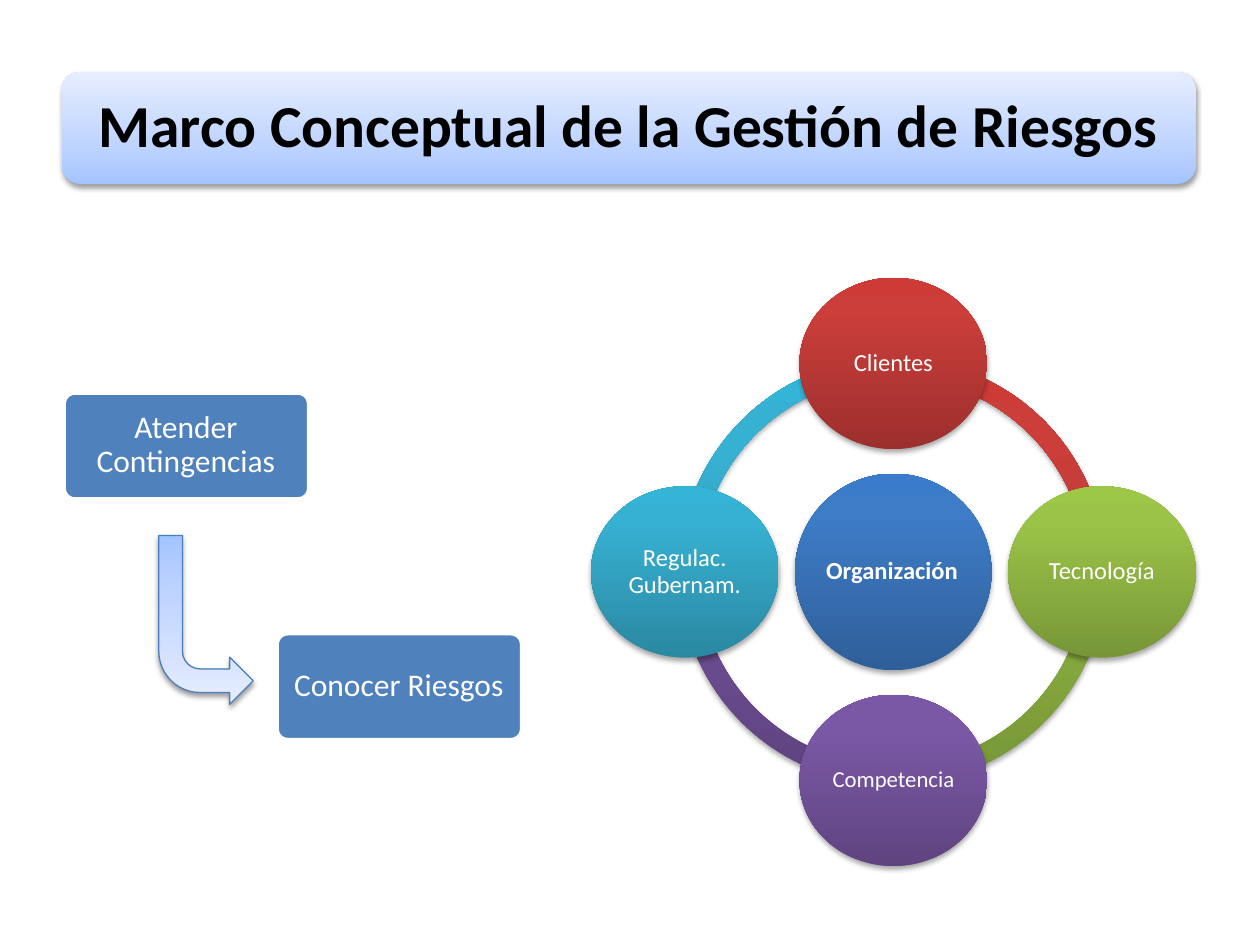
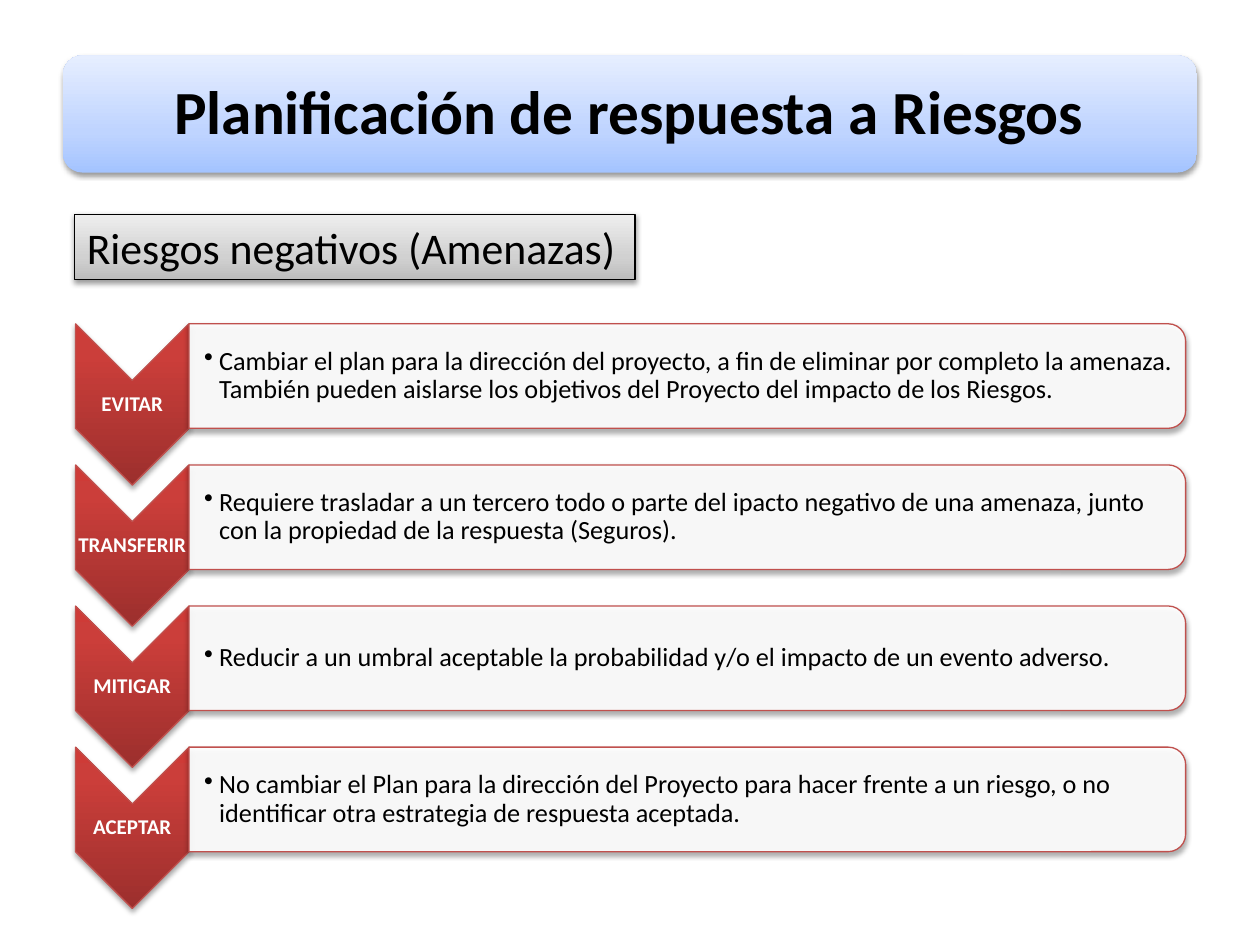
import math

import pptx
import pptx.dml.color
import pptx.enum.shapes
import pptx.enum.text
import pptx.oxml.ns
import pptx.util
from lxml import etree

Inches = pptx.util.Inches
qn = pptx.oxml.ns.qn
SHAPE = pptx.enum.shapes.MSO_SHAPE
ANCHOR = pptx.enum.text.MSO_ANCHOR
ALIGN = pptx.enum.text.PP_ALIGN
rgb = pptx.dml.color.RGBColor.from_string

FONT = "Calibri"
BLACK, WHITE, BLUE, RED_LINE = "000000", "FFFFFF", "4F81BD", "C0504D"
PALE_BLUE = [(0, "A4C4FF"), (35, "BFD4FF"), (100, "E6EEFF")]
GREY = [(0, "BDBDBD"), (35, "D1D1D1"), (100, "EEEEEE")]
RED = [(0, "9C2F2D"), (80, "CB3E3A"), (100, "CE3B37")]
GREEN = [(0, "779737"), (80, "9BC348"), (100, "9DC746")]
PURPLE = [(0, "5F4480"), (80, "7B58A6"), (100, "7C57A8")]
CYAN = [(0, "2A88A2"), (80, "37B1D2"), (100, "34B4D6")]
DEEP_BLUE = [(0, "2F5F99"), (80, "3D7CC7"), (100, "3A7CCB")]
SOFT_SHADOW = (38, 1.6)
DEEP_SHADOW = (35, 1.8)


def add_block(slide, kind, box, fill, line=None, width=0.75, shadow=None,
              adjustments=(), rotation=0, turns_fill=False):
    shape = slide.shapes.add_shape(kind, *map(Inches, box))
    shape.rotation = rotation
    for index, value in enumerate(adjustments):
        shape.adjustments[index] = value
    properties = shape._element.spPr
    if isinstance(fill, str):
        shape.fill.solid()
        shape.fill.fore_color.rgb = rgb(fill)
    else:
        shape.fill.gradient()
        shape.fill.gradient_angle = 90
        gradient = properties.find(qn("a:gradFill"))
        gradient.set("rotWithShape", str(int(turns_fill)))
        stops = gradient.find(qn("a:gsLst"))
        for stop in list(stops):
            stops.remove(stop)
        for position, color in fill:
            stop = etree.SubElement(stops, qn("a:gs"), pos=str(position * 1000))
            etree.SubElement(stop, qn("a:srgbClr"), val=color)
    if line:
        shape.line.color.rgb = rgb(line)
        shape.line.width = pptx.util.Pt(width)
    else:
        shape.line.fill.background()
    shape.shadow.inherit = False
    if shadow:
        opacity, distance = shadow
        outer = etree.SubElement(
            properties.find(qn("a:effectLst")), qn("a:outerShdw"),
            blurRad=str(pptx.util.Pt(3.1)), dist=str(pptx.util.Pt(distance)),
            dir="5400000", rotWithShape="0")
        color = etree.SubElement(outer, qn("a:srgbClr"), val=BLACK)
        etree.SubElement(color, qn("a:alpha"), val=str(opacity * 1000))
    return shape


def add_label(slide, box, text, size, color, bold=False, inset=0.02):
    label = slide.shapes.add_textbox(*map(Inches, box))
    frame = label.text_frame
    frame.word_wrap = True
    frame.vertical_anchor = ANCHOR.MIDDLE
    frame.margin_left = frame.margin_right = Inches(inset)
    frame.margin_top = frame.margin_bottom = Inches(inset)
    frame.text = text
    paragraph = frame.paragraphs[0]
    paragraph.alignment = ALIGN.CENTER
    paragraph.line_spacing = 0.9
    font = paragraph.runs[0].font
    font.name, font.size, font.bold = FONT, pptx.util.Pt(size), bold
    font.color.rgb = rgb(color)
    return label


presentation = pptx.Presentation()
presentation.slide_width = Inches(10)
presentation.slide_height = Inches(7.5)

titles = [
    ("Marco Conceptual de la Gestión de Riesgos", 0.49, 0.57, 0.89, 34),
    ("Planificación de respuesta a Riesgos", 0.5, 0.44, 0.93, 35),
]
for title, left, top, height, size in titles:
    slide = presentation.slides.add_slide(presentation.slide_layouts[6])
    add_block(slide, SHAPE.ROUNDED_RECTANGLE, (left, top, 9, height), PALE_BLUE,
              shadow=SOFT_SHADOW)
    add_label(slide, (left + 0.04, top + 0.05, 8.91, height - 0.09), title, size,
              BLACK, bold=True, inset=0.14)
concept_slide, response_slide = presentation.slides

center_x, center_y, orbit = 7.09, 4.54, 1.655
forces = [
    ("Clientes", RED, 14),
    ("Tecnología", GREEN, 14),
    ("Competencia", PURPLE, 13),
    ("Regulac. Gubernam.", CYAN, 14),
]
for index in reversed(range(len(forces))):
    add_block(concept_slide, SHAPE.BLOCK_ARC, (5.39, 2.84, 3.39, 3.39), forces[index][1],
              shadow=DEEP_SHADOW, adjustments=((index - 1) % 4 * 54, index * 54, 0.046))

add_block(concept_slide, SHAPE.OVAL, (6.31, 3.76, 1.56, 1.56), DEEP_BLUE, shadow=DEEP_SHADOW)
add_label(concept_slide, (6.53, 3.99, 1.1, 1.1), "Organización", 14, WHITE, bold=True)

for index, (force, fill, size) in enumerate(forces):
    angle = math.radians(90 * index)
    left = center_x + orbit * math.sin(angle) - 0.745
    top = center_y - orbit * math.cos(angle) - 0.68
    add_block(concept_slide, SHAPE.OVAL, (left, top, 1.49, 1.36), fill, shadow=DEEP_SHADOW)
    add_label(concept_slide, (left + 0.22, top + 0.2, 1.05, 0.96), force, size, WHITE)

for step, left, top in [("Conocer Riesgos", 2.2, 5.03), ("Atender Contingencias", 0.51, 3.12)]:
    add_block(concept_slide, SHAPE.ROUNDED_RECTANGLE, (left, top, 1.94, 0.84), BLUE,
              line=WHITE, width=2, adjustments=(0.1,))
    add_label(concept_slide, (left + 0.02, top + 0.02, 1.89, 0.79), step, 18, WHITE, inset=0.1)

arrow = add_block(concept_slide, SHAPE.BENT_ARROW, (1.26, 4.25, 0.75, 1.34), PALE_BLUE,
                  line="4B7EBC", shadow=SOFT_SHADOW, rotation=180, turns_fill=True)
arrow._element.spPr.find(qn("a:xfrm")).set("flipH", "1")

heading = add_block(response_slide, SHAPE.RECTANGLE, (0.59, 1.7, 4.45, 0.52), GREY,
                    line=BLACK, shadow=SOFT_SHADOW)
frame = heading.text_frame
frame.word_wrap = False
frame.auto_size = pptx.enum.text.MSO_AUTO_SIZE.SHAPE_TO_FIT_TEXT
frame.vertical_anchor = ANCHOR.TOP
frame.text = "Riesgos negativos (Amenazas)"
frame.paragraphs[0].alignment = ALIGN.LEFT
font = frame.paragraphs[0].runs[0].font
font.name, font.size = FONT, pptx.util.Pt(25)
font.color.rgb = rgb(BLACK)

strategies = [
    ("EVITAR", "Cambiar el plan para la dirección del proyecto, a fin de eliminar por completo "
     "la amenaza. También pueden aislarse los objetivos del Proyecto del impacto de los Riesgos."),
    ("TRANSFERIR", "Requiere trasladar a un tercero todo o parte del ipacto negativo de una "
     "amenaza, junto con la propiedad de la respuesta (Seguros)."),
    ("MITIGAR", "Reducir a un umbral aceptable la probabilidad y/o el impacto de un evento "
     "adverso."),
    ("ACEPTAR", "No cambiar el Plan para la dirección del Proyecto para hacer frente a un "
     "riesgo, o no identificar otra estrategia de respuesta aceptada."),
]
for index, (strategy, description) in enumerate(strategies):
    offset = 1.12 * index
    add_block(response_slide, SHAPE.CHEVRON, (0.41, 2.76 + offset, 1.28, 0.9), RED,
              line=RED_LINE, shadow=DEEP_SHADOW, rotation=90)
    add_label(response_slide, (0.6, 3.02 + offset, 0.9, 0.38), strategy, 12, WHITE,
              bold=True, inset=0.01)
    panel = add_block(response_slide, SHAPE.ROUND_2_SAME_RECTANGLE,
                      (5.04, -0.97 + offset, 0.83, 7.91), WHITE,
                      line=RED_LINE, shadow=DEEP_SHADOW, rotation=90)
    panel_color = panel._element.spPr.find(qn("a:solidFill")).find(qn("a:srgbClr"))
    etree.SubElement(panel_color, qn("a:alpha"), val="90000")
    label = add_label(response_slide, (1.5, 2.61 + offset, 7.87, 0.75), description, 15,
                      BLACK, inset=0.01)
    label.text_frame.margin_left = Inches(0.12)
    paragraph = label.text_frame.paragraphs[0]
    paragraph.alignment = ALIGN.LEFT
    paragraph.level = 1
    settings = paragraph._p.get_or_add_pPr()
    settings.set("marL", str(Inches(0.12)))
    settings.set("indent", str(Inches(-0.12)))
    etree.SubElement(settings, qn("a:buChar"), char="•")

presentation.save("out.pptx")
